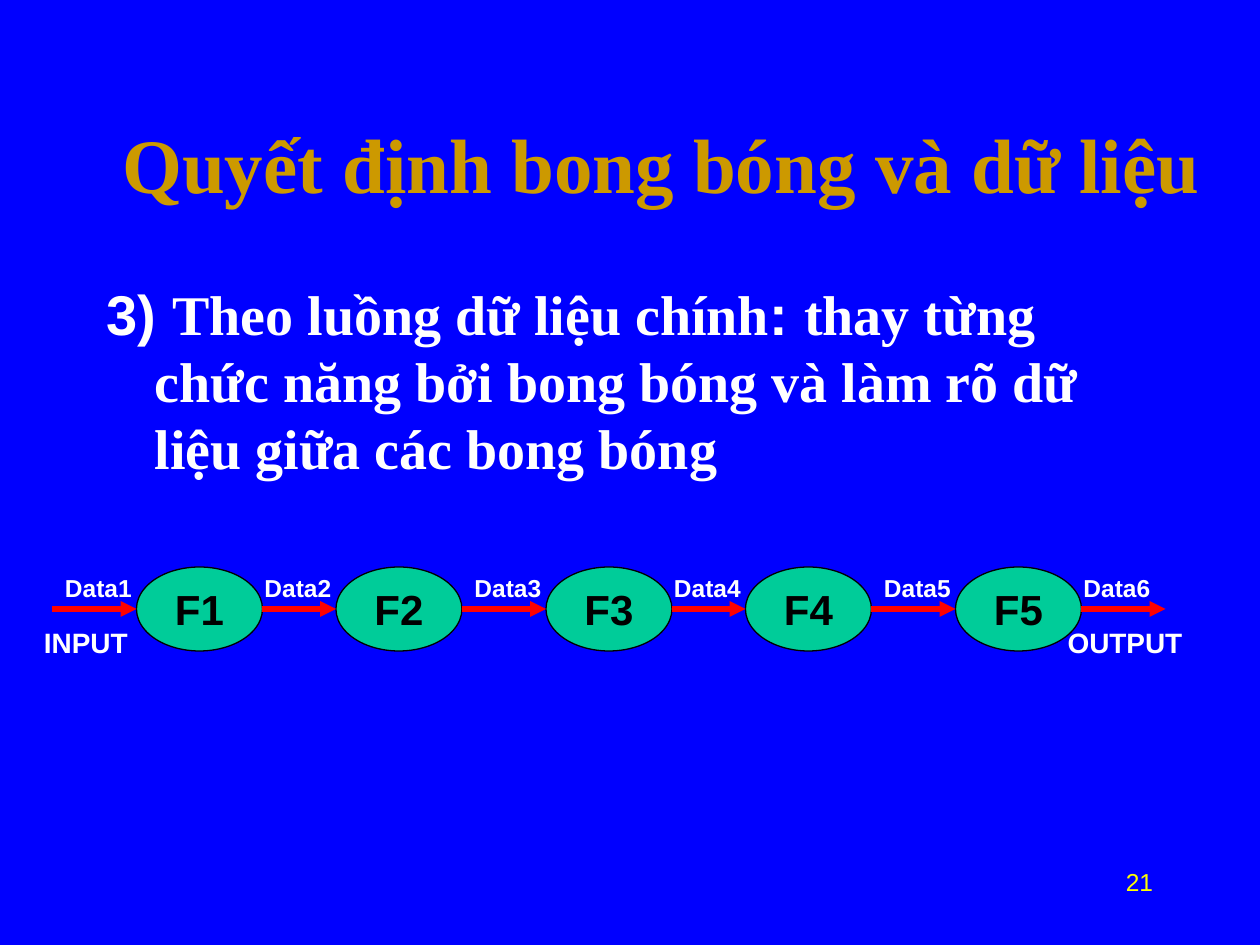
from dataclasses import dataclass

from lxml import etree
from pptx import Presentation
from pptx import util as u
from pptx.dml.color import RGBColor
from pptx.enum import shapes, text
from pptx.oxml.ns import qn


@dataclass(frozen=True)
class Theme:
    back: str = "0000FF"
    gold: str = "CC9900"
    white: str = "FFFFFF"
    black: str = "000000"
    green: str = "00CC99"
    red: str = "FF0000"
    yellow: str = "FFFF00"
    sans: str = "Arial"
    serif: str = "Times New Roman"
    head: int = 44
    body: int = 32
    node: int = 24
    flow: int = 14
    port: int = 16
    page: int = 14


T = Theme()
COLS, ROWS = 120, 90
WIDE, HIGH = u.Inches(10), u.Inches(7.5)
TOP, TALL, WIDTH = 54, 8, 12
MID = TOP + TALL / 2
FIRST, START, END = 13, 5, 111
COUNT = 5


def col(n):
    return round(WIDE * n / COLS)


def row(n):
    return round(HIGH * n / ROWS)


def area(x, y, w, h):
    return col(x), row(y), col(w), row(h)


def shift(i):
    """Offset of bubble i: a pitch of 19.5 columns, cut to whole columns."""
    return 39 * i // 2


def rgb(code):
    return RGBColor.from_string(code)


def style(run, size, color, face=T.sans, bold=True):
    """Format a run, with pair kerning off."""
    font = run.font
    font.size, font.name, font.bold = u.Pt(size), face, bold
    font.color.rgb = rgb(color)
    run._r.get_or_add_rPr().set("kern", "0")


def fill_text(frame, words, size, color, face=T.sans, bold=True, align=None):
    frame.text = words
    para = frame.paragraphs[0]
    para.alignment = align
    style(para.runs[0], size, color, face, bold)


def add_title(slide, words):
    title = slide.shapes.title
    title.left, title.top, title.width, title.height = area(9, 8, 108, 15)
    frame = title.text_frame
    frame.auto_size = text.MSO_AUTO_SIZE.NONE
    frame.vertical_anchor = text.MSO_ANCHOR.MIDDLE
    fill_text(frame, words, T.head, T.gold, T.serif, align=text.PP_ALIGN.CENTER)


def add_body(slide, parts):
    """Write one hanging paragraph from (words, font) parts."""
    frame = slide.shapes.add_textbox(*area(9, 26, 102, 54)).text_frame
    frame.word_wrap = True
    para = frame.paragraphs[0]
    para.space_before = u.Pt(8)
    props = para._p.get_or_add_pPr()
    hang = u.Inches(0.38)
    props.set("marL", str(hang))
    props.set("indent", str(-hang))
    for words, face in parts:
        run = para.add_run()
        run.text = words
        style(run, T.body, T.white, face)


def add_label(slide, words, place, size):
    frame = slide.shapes.add_textbox(*area(*place)).text_frame
    frame.word_wrap = False
    frame.auto_size = text.MSO_AUTO_SIZE.SHAPE_TO_FIT_TEXT
    fill_text(frame, words, size, T.white)


def add_bubble(slide, words, x):
    oval = slide.shapes.add_shape(
        shapes.MSO_SHAPE.OVAL, *area(x, TOP, WIDTH, TALL))
    oval.shadow.inherit = False
    oval.fill.solid()
    oval.fill.fore_color.rgb = rgb(T.green)
    oval.line.color.rgb = rgb(T.black)
    oval.line.width = u.Pt(0.75)
    frame = oval.text_frame
    frame.word_wrap = False
    frame.vertical_anchor = text.MSO_ANCHOR.MIDDLE
    fill_text(frame, words, T.node, T.black, align=text.PP_ALIGN.CENTER)


def add_arrow(slide, x, end):
    link = slide.shapes.add_connector(
        shapes.MSO_CONNECTOR.STRAIGHT, col(x), row(MID), col(end), row(MID))
    link.line.color.rgb = rgb(T.red)
    link.line.width = u.Pt(3)
    tip = etree.SubElement(link.line._get_or_add_ln(), qn("a:tailEnd"))
    tip.set("type", "triangle")
    etree.SubElement(link._element.spPr, qn("a:effectLst"))


def add_flow(slide):
    lefts = [FIRST + shift(i) for i in range(COUNT)]
    starts = [START] + [x + WIDTH for x in lefts]
    ends = lefts + [END]
    for i, x in enumerate(lefts, 1):
        add_bubble(slide, f"F{i}", x)
    for i, (x, end) in enumerate(zip(starts, ends)):
        add_label(slide, f"Data{i + 1}", (START + shift(i), TOP, 8.8, 4.1), T.flow)
        add_arrow(slide, x, end)
    add_label(slide, "INPUT", (3, 59, 10.7, 4.4), T.port)
    add_label(slide, "OUTPUT", (100.5, 59, 13.5, 4.4), T.port)


def add_page(slide, number):
    frame = slide.shapes.add_textbox(*area(86, 82, 25, 6)).text_frame
    frame.word_wrap = True
    fill_text(frame, number, T.page, T.yellow, bold=False,
              align=text.PP_ALIGN.RIGHT)


def main():
    deck = Presentation()
    deck.slide_width, deck.slide_height = WIDE, HIGH
    slide = deck.slides.add_slide(deck.slide_layouts.get_by_name("Title Only"))
    slide.background.fill.solid()
    slide.background.fill.fore_color.rgb = rgb(T.back)
    add_title(slide, "Quyết định bong bóng và dữ liệu")
    add_body(slide, [
        ("3) ", T.sans),
        ("Theo luồng dữ liệu chính", T.serif),
        (": ", T.sans),
        ("thay từng chức năng bởi bong bóng và làm rõ dữ liệu "
         "giữa các bong bóng", T.serif),
    ])
    add_flow(slide)
    add_page(slide, "21")
    deck.save("out.pptx")


if __name__ == "__main__":
    main()
